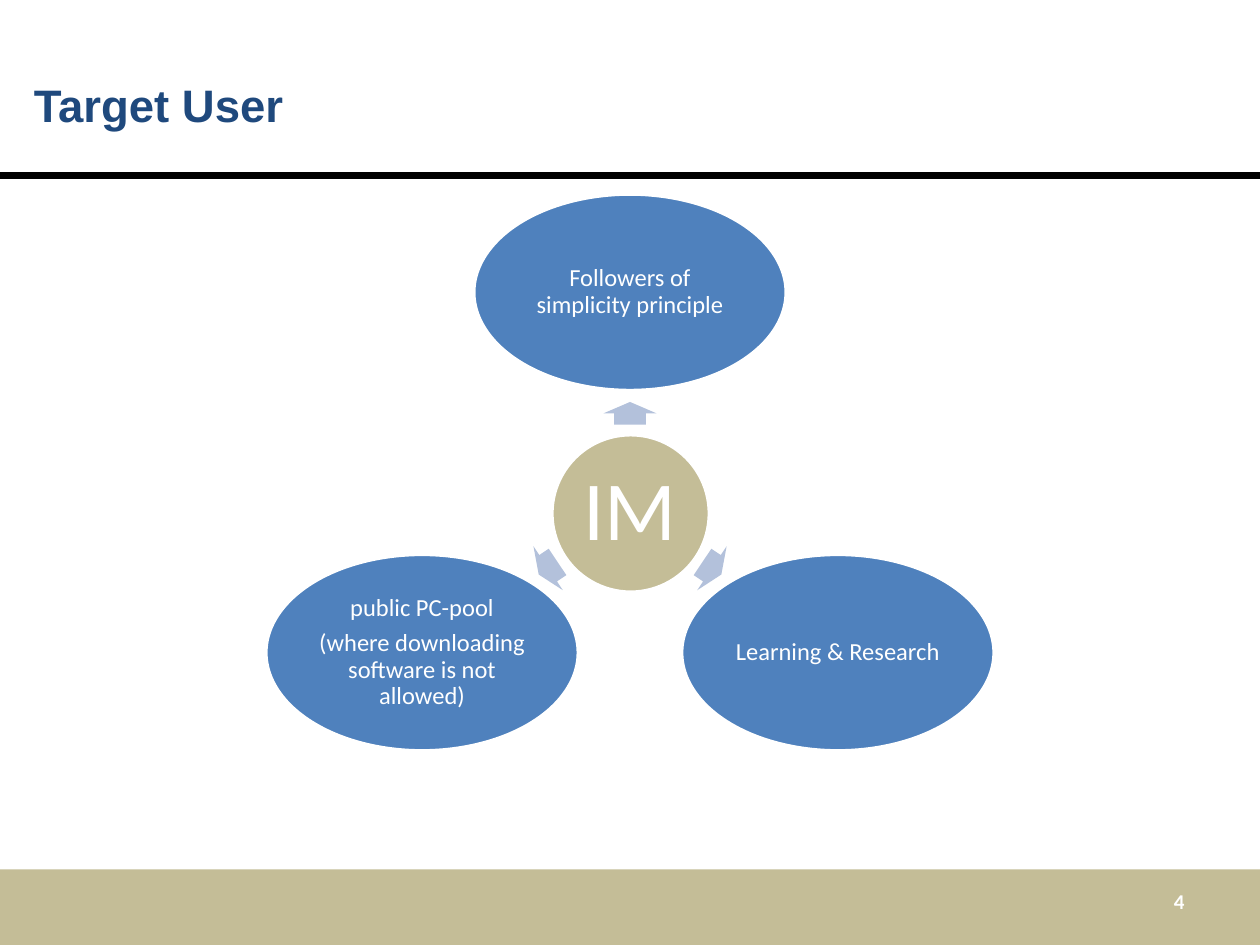
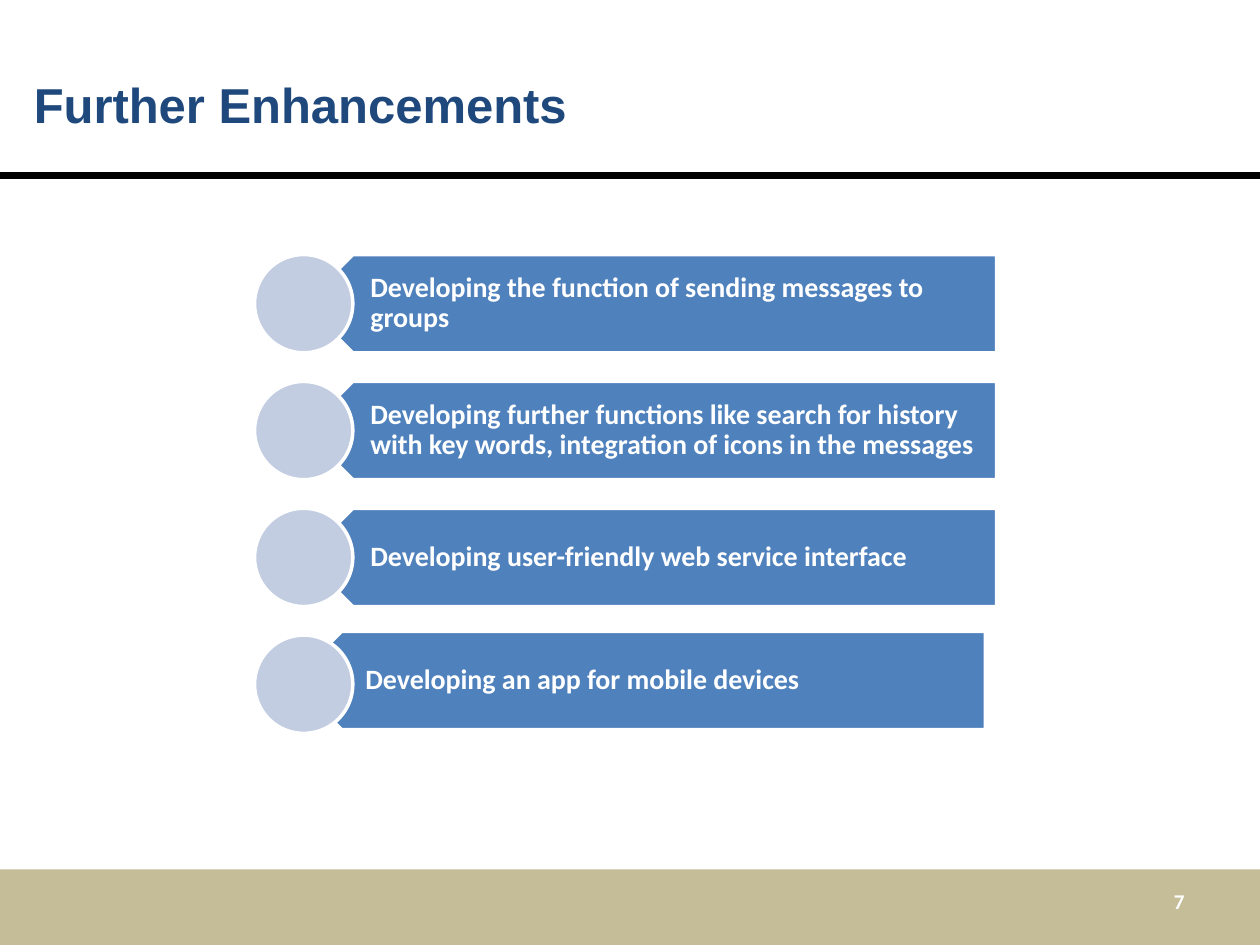
from pptx import Presentation
from pptx.dml.color import RGBColor
from pptx.enum.shapes import MSO_CONNECTOR, MSO_SHAPE
from pptx.enum.text import MSO_ANCHOR, PP_ALIGN
from pptx.oxml.ns import qn
from pptx.util import Inches, Pt
from lxml import etree

RECT, OVAL = MSO_SHAPE.RECTANGLE, MSO_SHAPE.OVAL
ARROW, PLATE = MSO_SHAPE.RIGHT_ARROW, MSO_SHAPE.PENTAGON
STRAIGHT = MSO_CONNECTOR.STRAIGHT
LEFT, CENTER, RIGHT = PP_ALIGN.LEFT, PP_ALIGN.CENTER, PP_ALIGN.RIGHT
MIDDLE = MSO_ANCHOR.MIDDLE

COLORS = {
    "sand": "C4BD97", "navy": "1F497D", "blue": "4F81BD", "arrow": "B3C1DB",
    "dot": "C2CDE1", "white": "FFFFFF", "black": "000000",
}


def color(name):
    """Return the named colour."""
    return RGBColor.from_string(COLORS[name])


def add_text(slide, box, text, size=14, font="Calibri", ink="white", bold=False,
             align=LEFT, inset=(0.1, 0.05, 0.1, 0.05), spacing=1.0, after=0):
    """Add a text box with one paragraph per line of text."""
    frame = slide.shapes.add_textbox(*map(Inches, box)).text_frame
    frame.word_wrap = True
    frame.vertical_anchor = MIDDLE
    (frame.margin_left, frame.margin_top,
     frame.margin_right, frame.margin_bottom) = map(Inches, inset)
    frame.text = text
    for para in frame.paragraphs:
        para.alignment = align
        para.line_spacing = spacing
        para.space_after = Pt(after)
        run = para.runs[0].font
        run.name, run.size, run.bold = font, Pt(size), bold
        run.color.rgb = color(ink)


def add_shape(slide, kind, box, fill, edge=False, turn=0):
    """Add a flat filled shape, with a white edge if asked."""
    shape = slide.shapes.add_shape(kind, *map(Inches, box))
    shape.shadow.inherit = False
    shape.fill.solid()
    shape.fill.fore_color.rgb = color(fill)
    shape.rotation = turn
    if edge:
        shape.line.color.rgb = color("white")
        shape.line.width = Pt(2)
    else:
        shape.line.fill.background()
    return shape


deck = Presentation()
deck.slide_width, deck.slide_height = Inches(10), Inches(7.5)

# Shared frame: footer band, rule, title and page number
slides = []
for title, size, page in (("Target User", 26, "4"), ("Further Enhancements", 28, "7")):
    slide = deck.slides.add_slide(deck.slide_layouts[6])
    add_shape(slide, RECT, (0, 6.9, 10, 0.6), "sand")
    rule = slide.shapes.add_connector(STRAIGHT, 0, Inches(1.39), Inches(10), Inches(1.39))
    rule.line.color.rgb = color("black")
    rule.line.width = Pt(4)
    etree.SubElement(rule._element.spPr, qn("a:effectLst"))
    add_text(slide, (0.17, 0.2, 9, 1.25), title, size=size, font="Arial",
             ink="navy", bold=True)
    add_text(slide, (7.17, 6.95, 2.33, 0.4), page, size=12, bold=True, align=RIGHT)
    slides.append(slide)
users, plans = slides

# Target User: a hub with three groups around it
add_shape(users, OVAL, (4.38, 3.45, 1.25, 1.25), "sand", edge=True)
add_text(users, (4.56, 3.63, 0.88, 0.88), "IM", size=48, align=CENTER,
         inset=[0.07] * 4, spacing=0.9)

# Each group: text, oval left and top, arrow left and top, arrow turn
groups = (
    ("Followers of simplicity principle", 3.76, 1.54, 4.91, 3.07, 270),
    ("Learning & Research", 5.41, 4.4, 5.56, 4.3, 33.8),
    ("public PC-pool\n(where downloading software is not allowed)",
     2.11, 4.4, 4.26, 4.3, 146.2),
)
for text, left, top, tip, rise, turn in groups:
    arrow = add_shape(users, ARROW, (tip, rise, 0.18, 0.42), "arrow", turn=turn)
    arrow.adjustments[0] = 0.6
    arrow.adjustments[1] = 0.5
    add_shape(users, OVAL, (left, top, 2.48, 1.56), "blue", edge=True)
    add_text(users, (left + 0.36, top + 0.23, 1.76, 1.1), text, align=CENTER,
             inset=[0.02] * 4, spacing=0.9, after=5)

# Further Enhancements: four banners, the last one set slightly off the grid
items = (
    ("Developing the function of sending messages to groups", 0, 0),
    ("Developing further functions like search for history with key words, "
     "integration of icons in the messages", 0, 0),
    ("Developing user-friendly web service interface", 0, 0),
    (" Developing an app for mobile devices", -0.09, -0.03),
)
for row, (text, dx, dy) in enumerate(items):
    top = 2.02 + row * 1.007
    add_shape(plans, PLATE, (2.41 + dx, top + dy, 5.5, 0.78), "blue", edge=True, turn=180)
    add_text(plans, (2.6 + dx, top + dy, 5.3, 0.78), text, size=16, bold=True,
             inset=(0.34, 0.07, 0.12, 0.07), spacing=0.9)
    add_shape(plans, OVAL, (2.02, top, 0.78, 0.78), "dot", edge=True)

deck.save("out.pptx")
